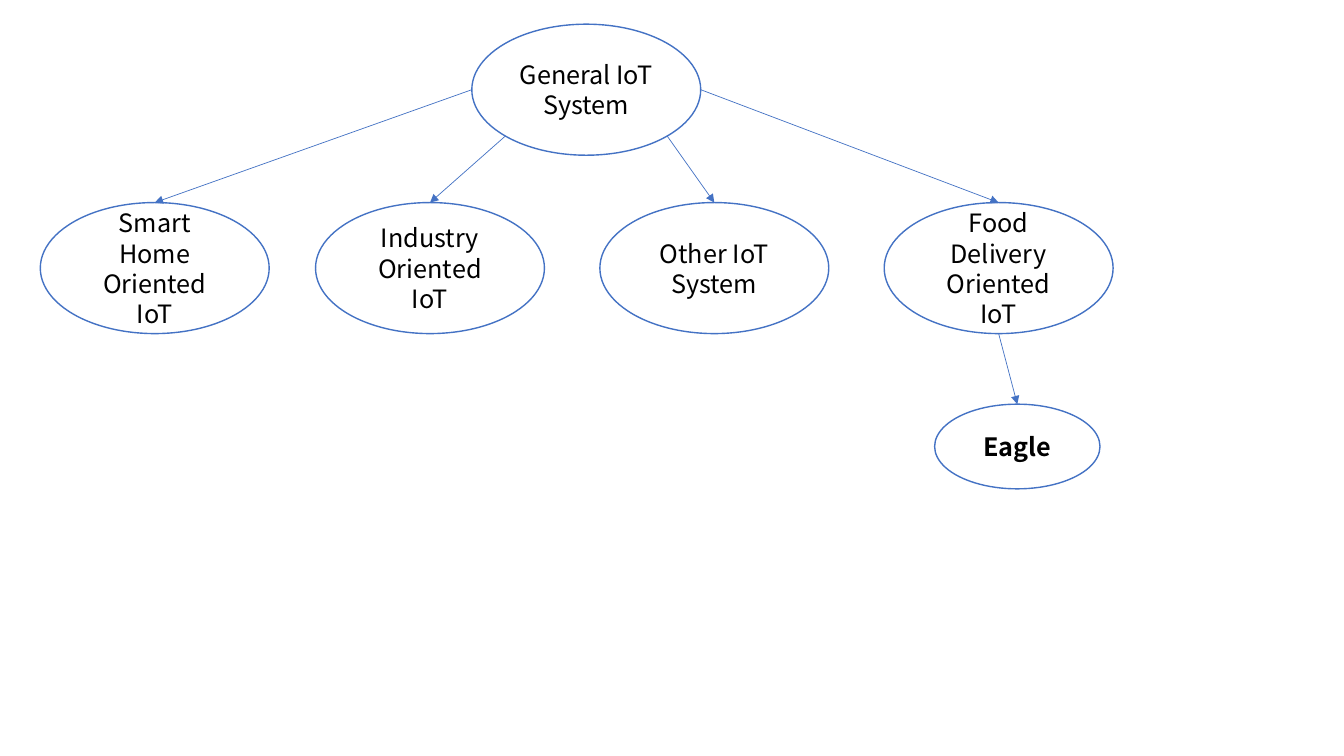
from math import cos, radians, sin

from lxml import etree
from pptx import Presentation
from pptx.dml.color import RGBColor
from pptx.enum import shapes, text
from pptx.oxml import ns
from pptx.util import Inches, Pt

COLOURS = {"fill": "FFFFFF", "line": "4472C4", "text": "000000"}
FONT = "Noto Sans CJK SC"
NODE_SIZE = (2.27, 1.3)
LEAF_SIZE = (1.64, 0.84)
# Connection sites of an ellipse run anticlockwise from the top in 45 degree steps.
TOP, LEFT, LOWER_LEFT, BOTTOM, LOWER_RIGHT, RIGHT = 0, 2, 3, 4, 5, 6


def colour(name):
    """Return a named colour of the palette."""
    return RGBColor.from_string(COLOURS[name])


def add_node(page, label, left, top, size=NODE_SIZE, bold=False):
    """Add an outlined ellipse with a centred label."""
    width, height = size
    node = page.shapes.add_shape(shapes.MSO_SHAPE.OVAL, Inches(left), Inches(top),
                                 Inches(width), Inches(height))
    node.shadow.inherit = False
    node.fill.solid()
    node.fill.fore_color.rgb = colour("fill")
    node.line.color.rgb = colour("line")
    node.line.width = Pt(1)
    frame = node.text_frame
    frame.word_wrap = True
    frame.vertical_anchor = text.MSO_ANCHOR.MIDDLE
    frame.text = label
    para = frame.paragraphs[0]
    para.alignment = text.PP_ALIGN.CENTER
    font = para.runs[0].font
    font.name, font.size, font.bold = FONT, Pt(18), bold
    font.color.rgb = colour("text")
    return node


def site_position(node, site):
    """Return the point of a connection site on an ellipse."""
    angle = radians(90 + 45 * site)
    return (int(node.left + node.width / 2 * (1 + cos(angle))),
            int(node.top + node.height / 2 * (1 - sin(angle))))


def add_arrow(page, parent, site, child):
    """Join a site of the parent to the top of the child with an arrow."""
    arrow = page.shapes.add_connector(shapes.MSO_CONNECTOR.STRAIGHT,
                                      *site_position(parent, site),
                                      *site_position(child, TOP))
    arrow.line.color.rgb = colour("line")
    arrow.line.width = Pt(0.5)
    properties = arrow.element.spPr
    etree.SubElement(properties.find(ns.qn("a:ln")), ns.qn("a:tailEnd"), type="triangle")
    etree.SubElement(properties, ns.qn("a:effectLst"))
    links = arrow.element.nvCxnSpPr.cNvCxnSpPr
    etree.SubElement(links, ns.qn("a:stCxn"), id=str(parent.shape_id), idx=str(site))
    arrow.end_connect(child, TOP)


def add_system_tree(page, left, top):
    """Draw the tree of IoT systems from its top left corner."""
    root = add_node(page, "General IoT System", left + 4.28, top)
    branches = [
        ("Smart Home Oriented IoT", 0, LEFT),
        ("Industry Oriented IoT", 2.73, LOWER_LEFT),
        ("Other IoT System", 5.55, LOWER_RIGHT),
        ("Food Delivery Oriented IoT", 8.37, RIGHT),
    ]
    for label, offset, site in branches:
        branch = add_node(page, label, left + offset, top + 1.77)
        add_arrow(page, root, site, branch)
    leaf = add_node(page, "Eagle", left + 8.87, top + 3.77, LEAF_SIZE, bold=True)
    add_arrow(page, branch, BOTTOM, leaf)


deck = Presentation()
deck.slide_width, deck.slide_height = Inches(13.33), Inches(7.5)
page = deck.slides.add_slide(deck.slide_layouts[6])
add_system_tree(page, 0.4, 0.24)
deck.save("out.pptx")
